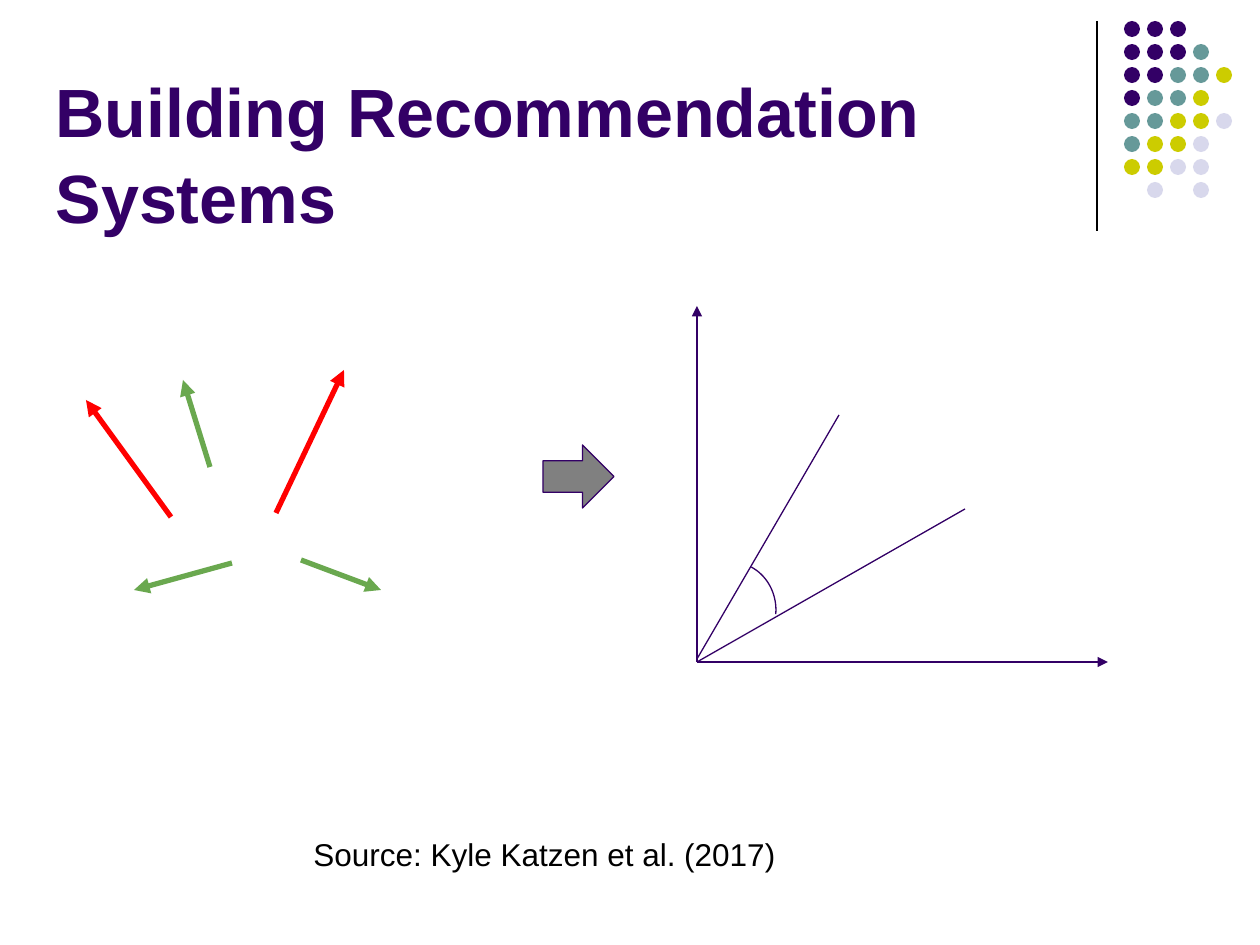
from pptx import Presentation
from pptx.dml.color import RGBColor
from pptx.enum.shapes import MSO_CONNECTOR, MSO_SHAPE
from pptx.enum.text import MSO_ANCHOR, PP_ALIGN
from pptx.oxml.ns import qn
from pptx.util import Pt
from lxml.etree import SubElement

THEME = {
    "font": "Arial", "title_size": 39, "caption_size": 18,
    "thin": 0.75, "thick": 3,
    "purple": "330066", "teal": "669999", "olive": "CCCC00", "lilac": "D8D8EC",
    "red": "FF0000", "green": "6AA84F", "gray": "808080", "black": "000000",
}
EMU_PER_PX = 914400 / 126

TITLE = ("Building Recommendation Systems", (43, 53, 1174, 79))
CAPTION = ("Source: Kyle Katzen et al. (2017)", (301, 829, 491, 50))

DOT_ROWS = ["PPP", "PPPT", "PPTTO", "PTTO", "TTOOL", "TOOL", "OOLL", " L L"]
DOT_COLORS = {"P": "purple", "T": "teal", "O": "olive", "L": "lilac"}
DOT_LEFT, DOT_TOP, DOT_PITCH, DOT_SIZE = 1124, 21, 23, 16

DIVIDER = [((1097, 21), (1097, 231), "black", "thin", False)]
VECTORS = [
    ((276, 513), (344, 370), "red", "thick", True),
    ((171, 517), (86, 400), "red", "thick", True),
    ((210, 467), (183, 380), "green", "thick", True),
    ((232, 563), (134, 590), "green", "thick", True),
    ((301, 560), (381, 590), "green", "thick", True),
]
ANGLE_PLOT = [
    ((697, 659), (839, 415), "purple", "thin", False),
    ((697, 662), (965, 509), "purple", "thin", False),
    ((697, 662), (697, 306), "purple", "thin", True),
    ((697, 662), (1108, 662), "purple", "thin", True),
]
ANGLE_ARC = (687, 562, 89, 96)
ARC_ADJUSTMENTS = (176.92, 3.18)
BLOCK_ARROW = (543, 445, 71, 63)


def px(*lengths):
    return [round(n * EMU_PER_PX) for n in lengths]


def color(name):
    return RGBColor.from_string(THEME[name])


def add_shape(shapes, kind, box, fill=None, line=None):
    sp = shapes.add_shape(kind, *px(*box))
    sp.shadow.inherit = False
    if fill:
        sp.fill.solid()
        sp.fill.fore_color.rgb = color(fill)
    else:
        sp.fill.background()
    if line:
        sp.line.color.rgb = color(line)
        sp.line.width = Pt(THEME["thin"])
    else:
        sp.line.fill.background()
    return sp


def add_lines(shapes, lines):
    for start, end, line_color, weight, has_head in lines:
        c = shapes.add_connector(MSO_CONNECTOR.STRAIGHT, *px(*start, *end))
        c.line.color.rgb = color(line_color)
        c.line.width = Pt(THEME[weight])
        if has_head:
            SubElement(c.line._get_or_add_ln(), qn("a:tailEnd"), type="triangle")
        SubElement(c._element.spPr, qn("a:effectLst"))


def set_text(sp, content, size, text_color, bold=False, wrap=True):
    text, box = content
    sp.left, sp.top, sp.width, sp.height = px(*box)
    tf = sp.text_frame
    tf.text = text
    tf.word_wrap = wrap
    tf.vertical_anchor = MSO_ANCHOR.TOP
    p = tf.paragraphs[0]
    p.alignment = PP_ALIGN.LEFT
    font = p.runs[0].font
    font.name, font.size, font.bold = THEME["font"], Pt(THEME[size]), bold
    font.color.rgb = color(text_color)
    return tf


def add_dots(shapes):
    for row, codes in enumerate(DOT_ROWS):
        for col, code in enumerate(codes):
            if code in DOT_COLORS:
                box = (DOT_LEFT + col * DOT_PITCH, DOT_TOP + row * DOT_PITCH,
                       DOT_SIZE, DOT_SIZE)
                add_shape(shapes, MSO_SHAPE.OVAL, box, DOT_COLORS[code])


def main():
    prs = Presentation()
    prs.slide_width, prs.slide_height = px(1260, 945)
    s = prs.slides.add_slide(prs.slide_layouts[5])

    add_lines(s.shapes, DIVIDER)
    add_dots(s.shapes.add_group_shape().shapes)

    tf = set_text(s.shapes.title, TITLE, "title_size", "purple", bold=True)
    tf.margin_left, tf.margin_top, tf.margin_right, tf.margin_bottom = [Pt(7.2)] * 4
    tf.paragraphs[0].line_spacing = 1.05

    add_lines(s.shapes.add_group_shape().shapes, VECTORS)

    plot = s.shapes.add_group_shape().shapes
    add_lines(plot, ANGLE_PLOT)
    arc = add_shape(plot, MSO_SHAPE.ARC, ANGLE_ARC, line="purple")
    arc.adjustments[0], arc.adjustments[1] = ARC_ADJUSTMENTS

    add_shape(s.shapes, MSO_SHAPE.RIGHT_ARROW, BLOCK_ARROW, "gray", "purple")
    caption = s.shapes.add_textbox(*px(*CAPTION[1]))
    set_text(caption, CAPTION, "caption_size", "black", wrap=False)

    prs.save("out.pptx")


if __name__ == "__main__":
    main()
